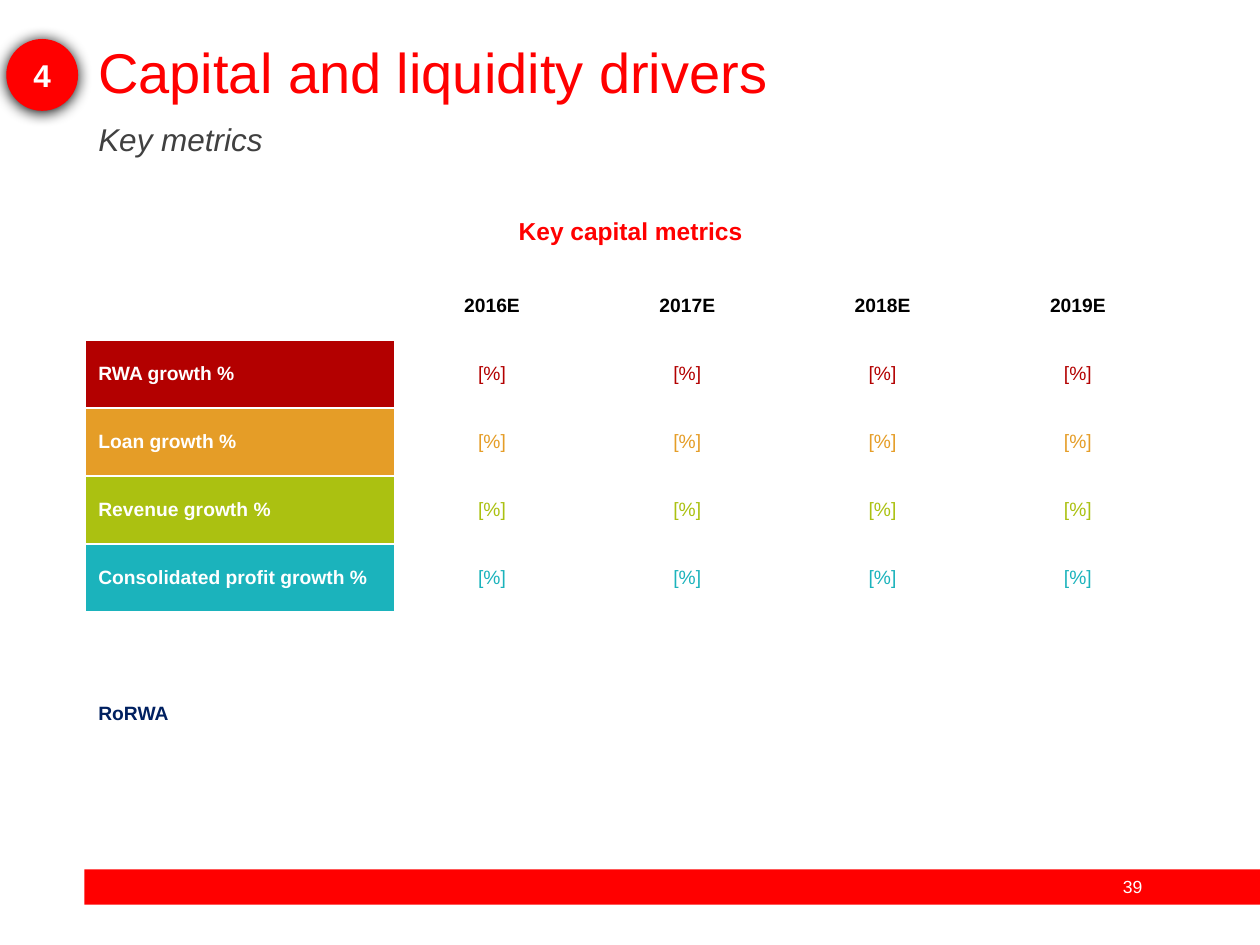
"""Build the capital and liquidity key metrics slide."""
from lxml import etree
from pptx import Presentation
from pptx.dml.color import RGBColor
from pptx.enum import shapes, text
from pptx.oxml.ns import qn
from pptx.util import Inches, Pt

THEME = {
    "font": "Arial", "red": "FF0000", "white": "FFFFFF", "black": "000000",
    "grey": "404040", "navy": "002060",
    "title": 32, "sub": 18, "head": 14, "cell": 11, "page": 10,
}
TITLE = "Capital and liquidity drivers"
SUB = "Key metrics"
BADGE = "4"
PAGE = "39"
HEAD = "Key capital metrics"
YEARS = ["2016E", "2017E", "2018E", "2019E"]
VALUE = "[%]"
METRICS = [
    ("RWA growth %", "B30000"),
    ("Loan growth %", "E59D27"),
    ("Revenue growth %", "ABC111"),
    ("Consolidated profit growth %", "1BB3BC"),
]
RATIO = "RoRWA"
RATIO_ROW = 7
ROWS = [0.64] + [0.54] * 8
COLS = [2.45] + [1.55] * 4
LEFT, MID = text.PP_ALIGN.LEFT, text.PP_ALIGN.CENTER


def color(key):
    return RGBColor.from_string(THEME.get(key, key))


def write(frame, words, size, ink, align=LEFT, bold=False, italic=False):
    frame.text = words
    para = frame.paragraphs[0]
    para.alignment = align
    font = para.runs[0].font
    font.name, font.size = THEME["font"], Pt(THEME[size])
    font.bold, font.italic = bold, italic
    font.color.rgb = color(ink)
    return para


def place(shape, *box):
    shape.left, shape.top, shape.width, shape.height = map(Inches, box)


def add_red(slide, kind, *box):
    shape = slide.shapes.add_shape(kind, *map(Inches, box))
    shape.shadow.inherit = False
    shape.fill.solid()
    shape.fill.fore_color.rgb = color("red")
    shape.line.fill.background()
    return shape


def add_glow(shape):
    effect = shape._element.spPr.find(qn("a:effectLst"))
    shadow = etree.SubElement(
        effect, qn("a:outerShdw"), blurRad=str(Pt(8.5)), dist=str(Pt(1)),
        dir="5400000", algn="ctr", rotWithShape="0")
    etree.SubElement(shadow, qn("a:srgbClr"), val=THEME["black"])


def add_edges(cell, sides):
    props = cell._tc.get_or_add_tcPr()
    for spot, side in enumerate(sides):
        line = etree.Element(qn("a:ln" + side), w=str(Pt(1)))
        fill = etree.SubElement(line, qn("a:solidFill"))
        etree.SubElement(fill, qn("a:srgbClr"), val=THEME["white"])
        props.insert(spot, line)


def add_heading(slide):
    title, sub = slide.placeholders
    for shape, box, words, size, ink in (
            (title, (0.68, 0.31, 8.62, 0.57), TITLE, "title", "red"),
            (sub, (0.68, 0.94, 8.63, 0.41), SUB, "sub", "grey")):
        place(shape, *box)
        para = write(shape.text_frame, words, size, ink, italic=shape is sub)
        para.line_spacing = 0.9
        para.space_before = Pt(0)
        shape.text_frame.auto_size = text.MSO_AUTO_SIZE.NONE
    title.text_frame.vertical_anchor = text.MSO_ANCHOR.MIDDLE
    sub.text_frame.vertical_anchor = text.MSO_ANCHOR.TOP


def add_badge(slide):
    badge = add_red(slide, shapes.MSO_SHAPE.OVAL, 0.05, 0.31, 0.57, 0.57)
    add_glow(badge)
    frame = badge.text_frame
    frame.margin_left = frame.margin_right = 0
    frame.vertical_anchor = text.MSO_ANCHOR.MIDDLE
    write(frame, BADGE, "sub", "white", MID, bold=True)


def add_footer(slide):
    add_red(slide, shapes.MSO_SHAPE.RECTANGLE, 0.67, 6.9, 9.33, 0.28)
    page = slide.shapes.add_textbox(*map(Inches, (8.71, 6.9, 0.56, 0.27)))
    page.text_frame.word_wrap = True
    write(page.text_frame, PAGE, "page", "white", MID)


def add_metrics(slide):
    box = map(Inches, (0.68, 1.52, sum(COLS), sum(ROWS)))
    table = slide.shapes.add_table(len(ROWS), len(COLS), *box).table
    table.first_row = table.horz_banding = False
    for col, width in zip(table.columns, COLS):
        col.width = Inches(width)
    for row, height in zip(table.rows, ROWS):
        row.height = Inches(height)
    for cell in table.iter_cells():
        cell.fill.background()
        cell.vertical_anchor = text.MSO_ANCHOR.MIDDLE

    head = table.cell(0, 0)
    head.merge(table.cell(0, len(COLS) - 1))
    write(head.text_frame, HEAD, "head", "red", MID, bold=True)
    for col, year in enumerate(YEARS, 1):
        cell = table.cell(1, col)
        write(cell.text_frame, year, "cell", "black", MID, bold=True)
        add_edges(cell, "LR")
    for row, (name, tint) in enumerate(METRICS, 2):
        label = table.cell(row, 0)
        write(label.text_frame, name, "cell", "white", bold=True)
        label.fill.solid()
        label.fill.fore_color.rgb = color(tint)
        for col in range(1, len(COLS)):
            write(table.cell(row, col).text_frame, VALUE, "cell", tint, MID)
    ratio = table.cell(RATIO_ROW, 0)
    write(ratio.text_frame, RATIO, "cell", "navy", bold=True)
    for row in range(len(ROWS)):
        add_edges(table.cell(row, 0), "LRTB" if row < 2 else "LTB")


def main():
    deck = Presentation()
    deck.slide_width, deck.slide_height = Inches(10), Inches(7.5)
    slide = deck.slides.add_slide(deck.slide_layouts[0])
    add_footer(slide)
    add_heading(slide)
    add_badge(slide)
    add_metrics(slide)
    deck.save("out.pptx")


if __name__ == "__main__":
    main()
